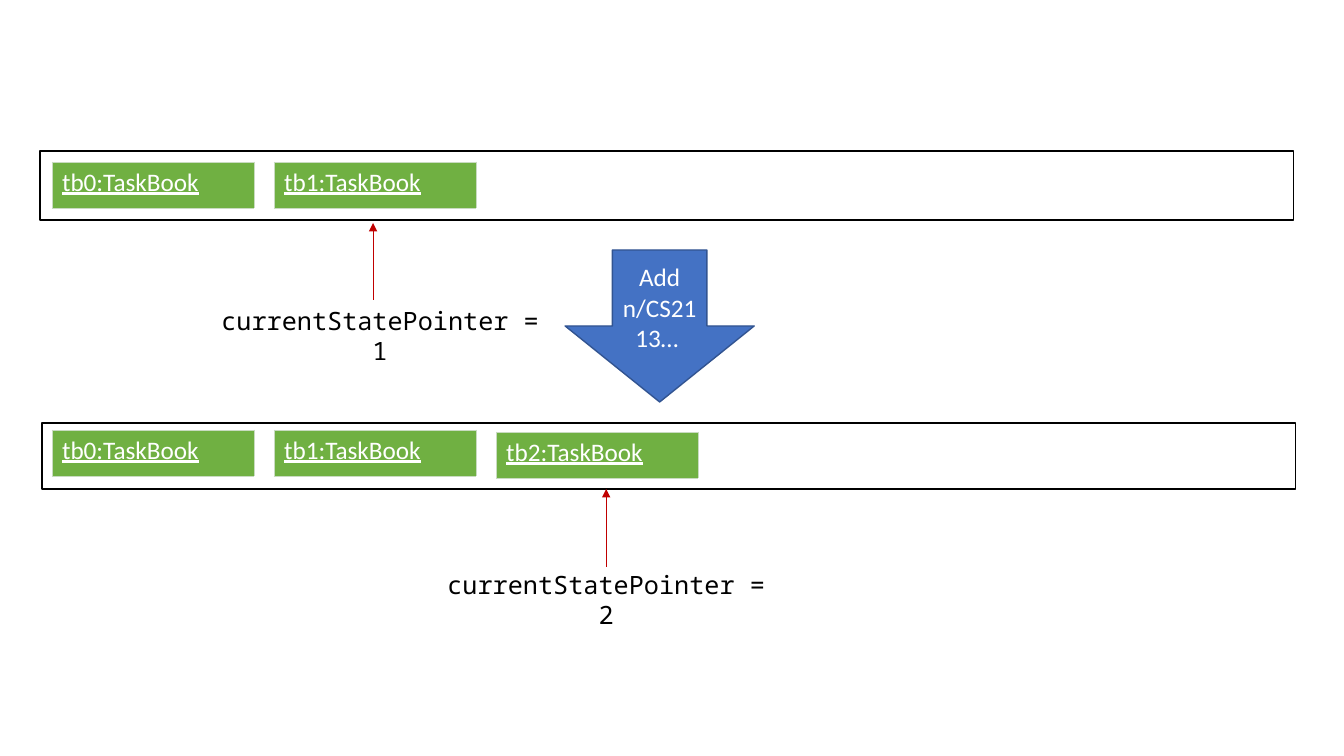
import pptx
import pptx.util
import pptx.dml.color
import pptx.enum.shapes
import pptx.enum.text
import pptx.oxml
import pptx.oxml.ns

# Content: lengths in pixels, 100.8 to the inch
COMMAND = ("Add n/CS2113… ", (565, 250, 189, 152))
STATES = [
    {"frame": (40, 151, 1253, 69),
     "books": [("tb0:TaskBook", 162), ("tb1:TaskBook", 162)],
     "pointer": ("currentStatePointer = 1", (203, 300, 354, 40)),
     "arrow": (373, 300, 223)},
    {"frame": (42, 423, 1253, 66),
     "books": [("tb0:TaskBook", 430), ("tb1:TaskBook", 430), ("tb2:TaskBook", 432)],
     "pointer": ("currentStatePointer = 2", (429, 564, 354, 40)),
     "arrow": (606, 567, 489)},
]
BOOK_LEFT, BOOK_PITCH, BOOK_W, BOOK_H = 52, 222, 202, 46
BODY, MONO = "Calibri", "Noto Sans Mono"
NS = pptx.oxml.ns.nsdecls("a")
qn = pptx.oxml.ns.qn


def px(*lengths):
    return [pptx.util.Emu(round(n * 914400 / 100.8)) for n in lengths]


def rgb(value):
    return pptx.dml.color.RGBColor.from_string(value)


def write(frame, text, font, color, centred=True, underline=False):
    frame.word_wrap = True
    frame.text = text
    paragraph = frame.paragraphs[0]
    if centred:
        paragraph.alignment = pptx.enum.text.PP_ALIGN.CENTER
    style = paragraph.runs[0].font
    style.name, style.size = font, pptx.util.Pt(18)
    style.color.rgb = rgb(color)
    if underline:
        style.underline = True


def set_line(line, color, width):
    line.color.rgb = rgb(color)
    line.width = pptx.util.Pt(width)


def add_block(kind, box, line_color, fill=None):
    block = slide.shapes.add_shape(kind, *px(*box))
    block.shadow.inherit = False
    if fill:
        block.fill.solid()
        block.fill.fore_color.rgb = rgb(fill)
    else:
        block.fill.background()
    set_line(block.line, line_color, 1)
    return block


def add_book(name, left, top):
    table = slide.shapes.add_table(1, 1, *px(left, top, BOOK_W, BOOK_H)).table
    table.first_row = table.horz_banding = False
    cell = table.cell(0, 0)
    write(cell.text_frame, name, BODY, "FFFFFF", centred=False, underline=True)
    # Cell borders come before the fill
    for side in ("lnL", "lnR", "lnT", "lnB"):
        cell._tc.get_or_add_tcPr().append(pptx.oxml.parse_xml(
            f'<a:{side} {NS} w="6350"><a:solidFill><a:srgbClr val="C9DBC1"/>'
            f'</a:solidFill></a:{side}>'))
    cell.fill.solid()
    cell.fill.fore_color.rgb = rgb("70B042")


def add_pointer_arrow(x, start, end):
    arrow = slide.shapes.add_connector(
        pptx.enum.shapes.MSO_CONNECTOR.STRAIGHT, *px(x, start, x, end))
    set_line(arrow.line, "C00000", 0.5)
    properties = arrow._element.spPr
    properties.find(qn("a:ln")).append(
        pptx.oxml.parse_xml(f'<a:tailEnd {NS} type="triangle"/>'))
    properties.append(pptx.oxml.parse_xml(f"<a:effectLst {NS}/>"))


deck = pptx.Presentation()
deck.slide_width, deck.slide_height = pptx.util.Inches(13.33), pptx.util.Inches(7.5)
slide = deck.slides.add_slide(deck.slide_layouts[6])
preset = pptx.enum.shapes.MSO_SHAPE

# Command leading from the first state to the second
command_text, command_box = COMMAND
command = add_block(preset.DOWN_ARROW, command_box, "325491", "4472C4")
write(command.text_frame, command_text, BODY, "FFFFFF")
command.text_frame.vertical_anchor = pptx.enum.text.MSO_ANCHOR.MIDDLE

# Each state: frame, task books, pointer label and arrow
for state in STATES:
    add_block(preset.RECTANGLE, state["frame"], "000000")
    for i, (name, top) in enumerate(state["books"]):
        add_book(name, BOOK_LEFT + i * BOOK_PITCH, top)
    label, label_box = state["pointer"]
    pointer = slide.shapes.add_textbox(*px(*label_box))
    write(pointer.text_frame, label, MONO, "000000")
    add_pointer_arrow(*state["arrow"])

deck.save("out.pptx")
